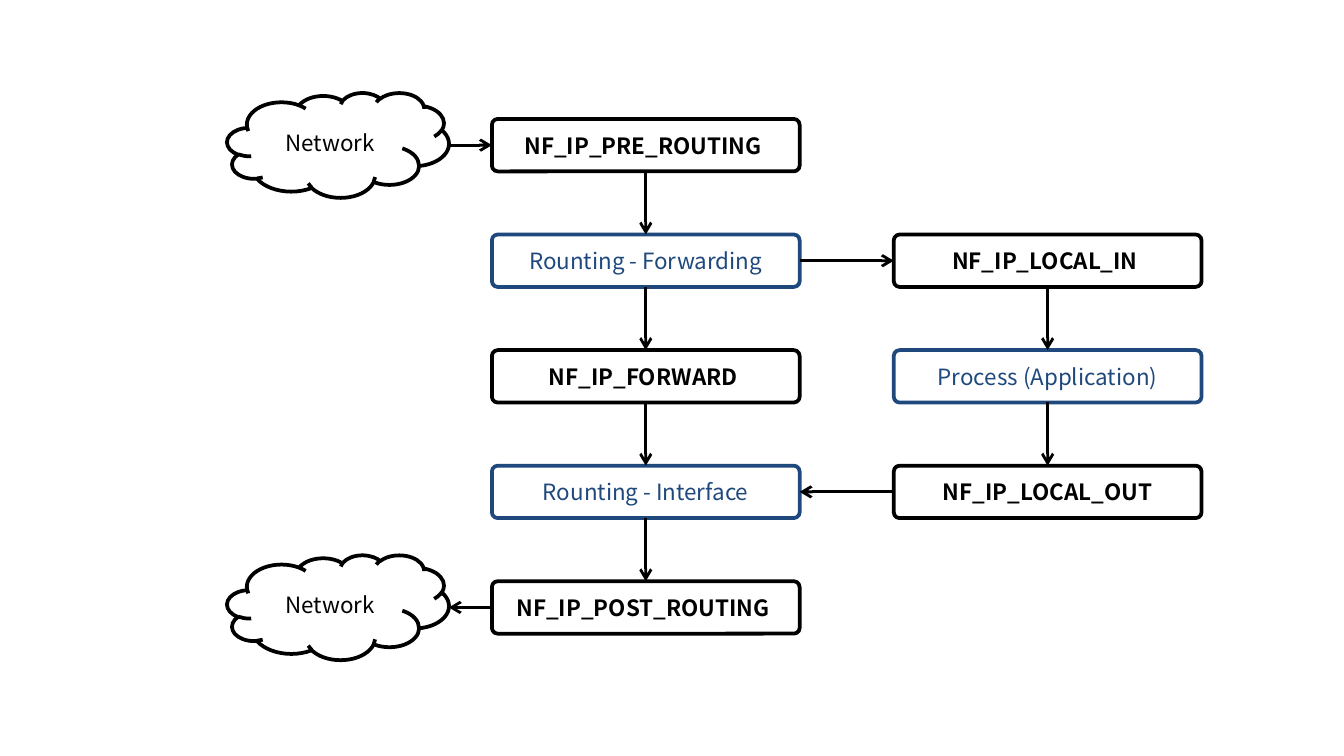
from dataclasses import dataclass

import pptx
import pptx.dml.color
import pptx.enum.shapes
import pptx.enum.text
import pptx.oxml
import pptx.oxml.ns
import pptx.slide
import pptx.util
from pptx.util import Inches

SHAPE = pptx.enum.shapes.MSO_SHAPE


@dataclass(frozen=True)
class Theme:
    font: str = "Noto Sans CJK KR"
    size: float = 12
    outline: float = 2
    arrow: float = 1.5
    black: str = "000000"
    blue: str = "1F497D"
    white: str = "FFFFFF"


@dataclass(frozen=True)
class Node:
    text: str
    col: int
    row: int
    kind: str = "hook"

    @property
    def size(self) -> tuple[float, float]:
        return (1.65, 0.78) if self.kind == "network" else (2.29, 0.39)

    @property
    def left(self) -> float:
        return COLUMNS[self.col]

    @property
    def right(self) -> float:
        return self.left + self.size[0]

    @property
    def x(self) -> float:
        return self.left + self.size[0] / 2

    @property
    def y(self) -> float:
        return FIRST_ROW + self.row * ROW_STEP

    @property
    def top(self) -> float:
        return self.y - self.size[1] / 2

    @property
    def bottom(self) -> float:
        return self.y + self.size[1] / 2


THEME = Theme()
COLUMNS = (1.69, 3.66, 6.65)
FIRST_ROW, ROW_STEP = 1.08, 0.86

NODES = {
    "source": Node("Network", 0, 0, "network"),
    "pre": Node("NF_IP_PRE_ROUTING ", 1, 0),
    "forwarding": Node("Rounting - Forwarding", 1, 1, "step"),
    "forward": Node("NF_IP_FORWARD ", 1, 2),
    "interface": Node("Rounting - Interface", 1, 3, "step"),
    "post": Node("NF_IP_POST_ROUTING ", 1, 4),
    "target": Node("Network", 0, 4, "network"),
    "local_in": Node("NF_IP_LOCAL_IN ", 2, 1),
    "process": Node("Process (Application)", 2, 2, "step"),
    "local_out": Node("NF_IP_LOCAL_OUT", 2, 3),
}
ROUTES = (
    ("source", "pre", "forwarding", "forward", "interface", "post", "target"),
    ("forwarding", "local_in", "process", "local_out", "interface"),
)


def rgb(value: str) -> pptx.dml.color.RGBColor:
    return pptx.dml.color.RGBColor.from_string(value)


def draw_node(s: pptx.slide.Slide, node: Node) -> None:
    cloud = node.kind == "network"
    color = rgb(THEME.blue if node.kind == "step" else THEME.black)
    sp = s.shapes.add_shape(
        SHAPE.CLOUD if cloud else SHAPE.ROUNDED_RECTANGLE,
        Inches(node.left), Inches(node.top), *map(Inches, node.size))
    if not cloud:
        sp.adjustments[0] = 0.11
    sp.shadow.inherit = False
    sp.fill.solid()
    sp.fill.fore_color.rgb = rgb(THEME.white)
    sp.line.color.rgb = color
    sp.line.width = pptx.util.Pt(THEME.outline)
    tf = sp.text_frame
    tf.word_wrap = True
    tf.vertical_anchor = pptx.enum.text.MSO_ANCHOR.MIDDLE
    p = tf.paragraphs[0]
    p.alignment = pptx.enum.text.PP_ALIGN.CENTER
    r = p.add_run()
    r.text = node.text
    text_format = {"name": THEME.font, "size": pptx.util.Pt(THEME.size),
                   "bold": node.kind == "hook"}
    for name, value in text_format.items():
        setattr(r.font, name, value)
    r.font.color.rgb = color


def draw_arrow(s: pptx.slide.Slide, a: Node, b: Node) -> None:
    """Join the facing edges of two nodes in the same column or row."""
    if a.col == b.col:
        ends = (a.x, a.bottom, b.x, b.top)
    elif a.col < b.col:
        ends = (a.right, a.y, b.left, b.y)
    else:
        ends = (a.left, a.y, b.right, b.y)
    line = s.shapes.add_connector(
        pptx.enum.shapes.MSO_CONNECTOR.STRAIGHT, *map(Inches, ends))
    line.line.color.rgb = rgb(THEME.black)
    line.line.width = pptx.util.Pt(THEME.arrow)
    ns = pptx.oxml.ns.nsdecls("a")
    properties = line._element.spPr
    properties.find(pptx.oxml.ns.qn("a:ln")).append(
        pptx.oxml.parse_xml(f'<a:tailEnd {ns} type="arrow"/>'))
    properties.append(pptx.oxml.parse_xml(f"<a:effectLst {ns}/>"))


def main() -> None:
    prs = pptx.Presentation()
    prs.slide_width = Inches(10)
    prs.slide_height = prs.slide_width * 9 // 16
    s = prs.slides.add_slide(prs.slide_layouts[6])
    for node in NODES.values():
        draw_node(s, node)
    for route in ROUTES:
        for a, b in zip(route, route[1:]):
            draw_arrow(s, NODES[a], NODES[b])
    prs.save("out.pptx")


if __name__ == "__main__":
    main()
